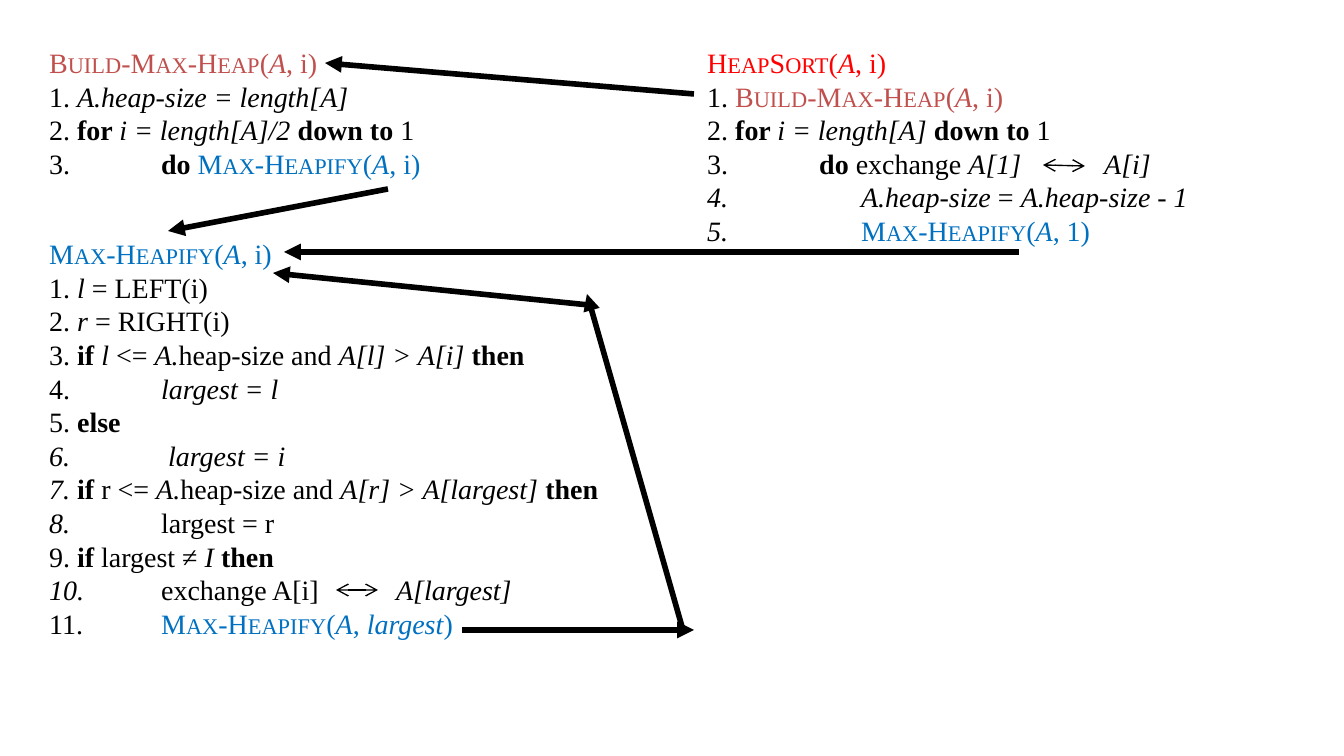
from itertools import groupby

from lxml.etree import SubElement
from pptx import Presentation
from pptx.dml.color import RGBColor
from pptx.enum.shapes import MSO_CONNECTOR
from pptx.enum.text import MSO_AUTO_SIZE
from pptx.oxml.ns import qn
from pptx.util import Emu, Pt

PX = 914400 / 134.4
FONT = "Times New Roman"
COLORS = {"text": "000000", "build": "C0504D", "sort": "FF0000", "heapify": "0070C0"}
TAB = 112         # first tab stop of the code lines
DEEP_TAB = 154    # deeper indent inside the heapsort loop
SWAP_TAB = {"heapsort": 397, "heapify": 347}


def px(value):
    return Emu(round(value * PX))


def bold(text):
    return [(text, "b", 15, "text")]


def italic(text, color="text"):
    return [(text, "i", 15, color)]


def plain(text, color="text"):
    return [(text, "", 15, color)]


def call(name, color, first, rest, rest_style=plain):
    """Procedure name in small capitals, then its arguments."""
    caps = [("".join(letters).upper(), "", 12 if small else 15, color)
            for small, letters in groupby(name, str.islower)]
    return (caps + plain("(", color) + italic(first, color)
            + plain(", ", color) + rest_style(rest, color) + plain(")", color))


def add_code(slide, box, lines):
    """Each line is a list of tab stops and a list of runs."""
    frame = slide.shapes.add_textbox(*map(px, box)).text_frame
    frame.word_wrap = True
    frame.auto_size = MSO_AUTO_SIZE.SHAPE_TO_FIT_TEXT
    for number, (stops, runs) in enumerate(lines):
        paragraph = frame.add_paragraph() if number else frame.paragraphs[0]
        if stops:
            tab_list = SubElement(paragraph._p.get_or_add_pPr(), qn("a:tabLst"))
            for stop in stops:
                SubElement(tab_list, qn("a:tab"), pos=str(px(stop)), algn="l")
        for text, style, size, color in runs:
            run = paragraph.add_run()
            run.text = text
            run.font.name = FONT
            run.font.size = Pt(size)
            run.font.bold = style == "b"
            run.font.italic = style == "i"
            run.font.color.rgb = RGBColor.from_string(COLORS[color])


def add_arrow(slide, points, width, tail, head=None):
    arrow = slide.shapes.add_connector(MSO_CONNECTOR.STRAIGHT, *map(px, points))
    arrow.line.width = Pt(width)
    arrow.line.color.rgb = RGBColor.from_string(COLORS["text"])
    line = arrow.line._get_or_add_ln()
    if head:
        SubElement(line, qn("a:headEnd"), type=head)
    SubElement(line, qn("a:tailEnd"), type=tail)
    SubElement(arrow._element.spPr, qn("a:effectLst"))


def main():
    deck = Presentation()
    deck.slide_width, deck.slide_height = px(1344), px(756)
    slide = deck.slides.add_slide(deck.slide_layouts[6])
    build = call("Build-Max-Heap", "build", "A", "i")
    heapify = call("Max-Heapify", "heapify", "A", "i")

    # Build the heap
    add_code(slide, (36, 39, 476, 148), [
        ([], build),
        ([], plain("1. ") + italic("A.heap-size = length[A]")),
        ([], plain("2. ") + bold("for ") + italic("i = length[A]/2 ")
         + bold("down to") + plain(" 1")),
        ([TAB], plain("3. \t") + bold("do ") + heapify),
    ])

    # Heapsort
    add_code(slide, (694, 39, 614, 215), [
        ([], call("HeapSort", "sort", "A", "i")),
        ([], plain("1. ") + build),
        ([], plain("2. ") + bold("for ") + italic("i = length[A] ")
         + bold("down to") + plain(" 1")),
        ([TAB, SWAP_TAB["heapsort"]], plain("3. \t") + bold("do ")
         + plain("exchange ") + italic("A[1]\tA[i]")),
        ([DEEP_TAB], italic("4. \tA.heap-size") + plain(" = ")
         + italic("A.heap-size - 1")),
        ([DEEP_TAB], italic("5.\t") + call("Max-Heapify", "heapify", "A", "1")),
    ])

    # Restore the heap
    add_code(slide, (36, 230, 636, 417), [
        ([], heapify),
        ([], plain("1. ") + italic("l") + plain(" = LEFT(i)")),
        ([], plain("2. ") + italic("r") + plain(" = RIGHT(i)")),
        ([], plain("3. ") + bold("if ") + italic("l") + plain(" <= ") + italic("A.")
         + plain("heap-size and ") + italic("A[l] > A[i] ") + bold("then")),
        ([TAB], plain("4.\t") + italic("largest = l")),
        ([], plain("5. ") + bold("else")),
        ([TAB], italic("6. \t largest = i")),
        ([], italic("7. ") + bold("if ") + plain("r <= ") + italic("A.")
         + plain("heap-size and ") + italic("A[r] > A[largest] ") + bold("then")),
        ([TAB], italic("8. \t") + plain("largest = r")),
        ([], plain("9. ") + bold("if") + plain(" largest ≠ ") + italic("I ")
         + bold("then")),
        ([TAB, SWAP_TAB["heapify"]], italic("10. \t") + plain("exchange A[i]\t")
         + italic("A[largest]")),
        ([TAB], plain("11. \t")
         + call("Max-Heapify", "heapify", "A", "largest", italic)),
    ])

    # Exchange signs
    for swap in [(1043, 165, 1085, 166), (336, 590, 378, 590)]:
        add_arrow(slide, swap, 0.75, tail="arrow", head="arrow")

    # Calls from one procedure to another, then the recursion loop
    for jump in [(694, 94, 325, 63), (1019, 252, 284, 252), (388, 189, 168, 231),
                 (462, 630, 694, 630), (683, 630, 587, 294), (589, 305, 273, 273)]:
        add_arrow(slide, jump, 3, tail="triangle")

    deck.save("out.pptx")


if __name__ == "__main__":
    main()
